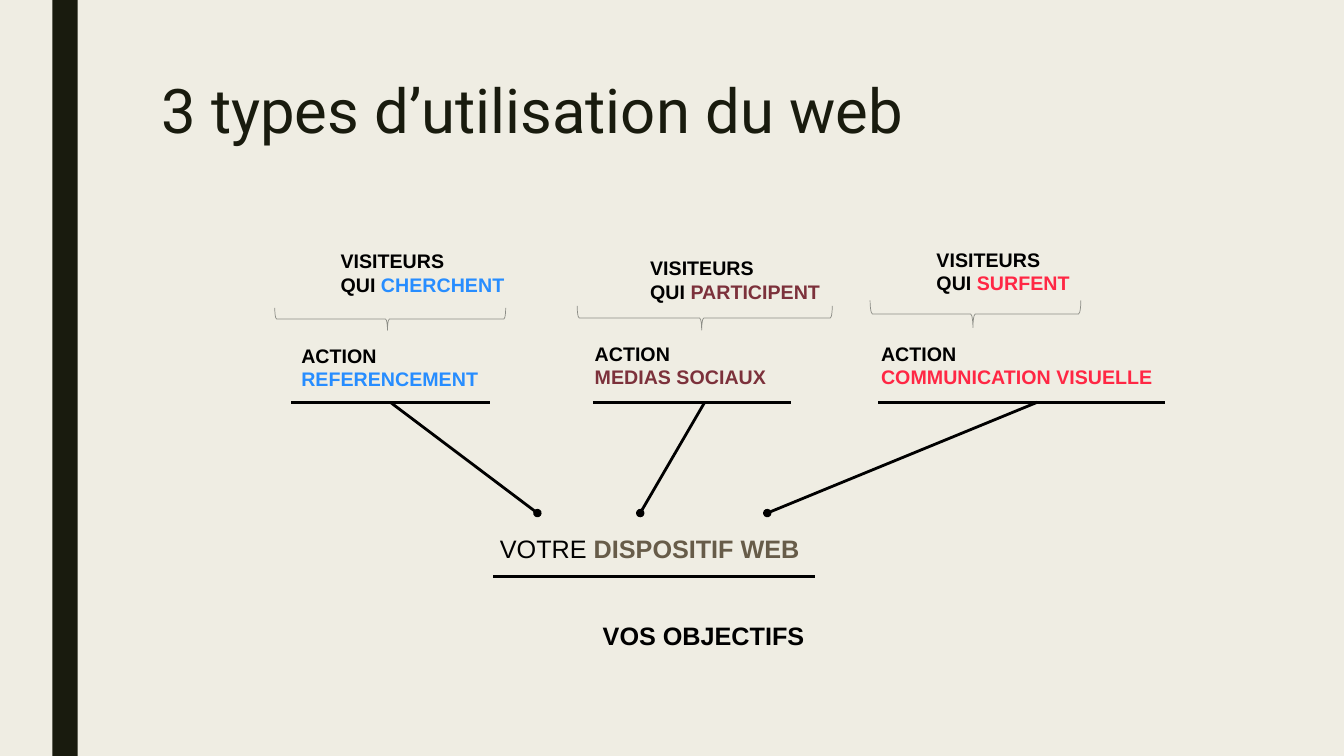
from dataclasses import dataclass

from lxml import etree
from pptx import Presentation
from pptx.dml.color import RGBColor
from pptx.enum.shapes import MSO_CONNECTOR, MSO_SHAPE
from pptx.enum.text import MSO_ANCHOR, MSO_AUTO_SIZE
from pptx.oxml.ns import qn
from pptx.util import Inches, Pt

RECT = MSO_SHAPE.RECTANGLE
BRACE = MSO_SHAPE.LEFT_BRACE
STRAIGHT = MSO_CONNECTOR.STRAIGHT
TOP = MSO_ANCHOR.TOP
FIT_SHAPE = MSO_AUTO_SIZE.SHAPE_TO_FIT_TEXT
NO_FIT = MSO_AUTO_SIZE.NONE


@dataclass(frozen=True)
class Theme:
    background: str = "EFEDE3"
    dark: str = "191B0E"
    black: str = "000000"
    brace: str = "8C8D86"
    device: str = "675C49"
    search: str = "278DFF"
    social: str = "7C313B"
    surf: str = "FF2744"
    title_font: str = "Roboto"
    body_font: str = "Arial"
    title_size: int = 44
    goal_size: int = 18
    label_size: int = 14
    line_width: float = 2
    brace_width: float = 0.5


THEME = Theme()
RULE_Y = 3.99    # rules under the three actions
TARGET_Y = 5.09  # dotted ends of the lines leading to the web device

# Verb, action, colour, visitor box, action box, brace (drawn upright, then
# turned), rule from/to, link start/end
USES = [
    ("CHERCHENT", "REFERENCEMENT", THEME.search,
     (3.28, 2.42, 1.84, 0.57), (2.89, 3.36, 1.97, 0.57),
     (3.76, 2.02, 0.22, 2.29), (2.89, 4.86), (5.33, 3.87)),
    ("PARTICIPENT", "MEDIAS SOCIAUX", THEME.social,
     (6.35, 2.49, 1.9, 0.57), (5.8, 3.34, 1.92, 0.57),
     (6.87, 1.89, 0.24, 2.53), (5.88, 7.85), (6.35, 6.99)),
    ("SURFENT", "COMMUNICATION VISUELLE", THEME.surf,
     (9.19, 2.41, 1.53, 0.57), (8.64, 3.34, 2.91, 0.57),
     (9.54, 2.07, 0.27, 2.09), (8.71, 11.55), (7.61, 10.29)),
]


def rgb(value):
    return RGBColor.from_string(value)


def add_text(s, box, paragraphs, size, font=THEME.body_font, wrap=True, fit=FIT_SHAPE):
    """Each paragraph is a list of (text, colour, bold) runs."""
    sp = s.shapes.add_textbox(*map(Inches, box))
    tf = sp.text_frame
    tf.word_wrap = wrap
    tf.auto_size = fit
    tf.vertical_anchor = TOP
    for i, runs in enumerate(paragraphs):
        p = tf.paragraphs[0] if i == 0 else tf.add_paragraph()
        for text, colour, bold in runs:
            r = p.add_run()
            r.text = text
            r.font.name = font
            r.font.size = Pt(size)
            r.font.bold = bold
            r.font.color.rgb = rgb(colour)
    return tf


def add_line(s, start, end, dotted=False):
    line = s.shapes.add_connector(STRAIGHT, *map(Inches, (*start, *end)))
    line.line.color.rgb = rgb(THEME.black)
    line.line.width = Pt(THEME.line_width)
    if dotted:
        etree.SubElement(line.line._get_or_add_ln(), qn("a:headEnd"), type="oval")
    etree.SubElement(line._element.spPr, qn("a:effectLst"))


def add_brace(s, box):
    sp = s.shapes.add_shape(BRACE, *map(Inches, box))
    sp.shadow.inherit = False
    sp.rotation = 270
    sp.adjustments[0] = 0.083
    sp.adjustments[1] = 0.488
    sp.fill.background()
    sp.line.color.rgb = rgb(THEME.brace)
    sp.line.width = Pt(THEME.brace_width)


def add_side_bar(s):
    sp = s.shapes.add_shape(RECT, Inches(0.52), 0, Inches(0.25), Inches(7.5))
    sp.shadow.inherit = False
    sp.fill.solid()
    sp.fill.fore_color.rgb = rgb(THEME.dark)
    sp.line.fill.background()


def add_use(s, verb, action, colour, visitor_box, action_box, brace, rule, link):
    visitors = [[("VISITEURS", THEME.black, True)],
                [("QUI ", THEME.black, True), (verb, colour, True)]]
    actions = [[("ACTION", THEME.black, True)], [(action, colour, True)]]
    add_text(s, visitor_box, visitors, THEME.label_size, wrap=False)
    add_brace(s, brace)
    add_text(s, action_box, actions, THEME.label_size, wrap=False)
    add_line(s, (rule[0], RULE_Y), (rule[1], RULE_Y))
    add_line(s, (link[0], TARGET_Y), (link[1], RULE_Y), dotted=True)


def main():
    prs = Presentation()
    prs.slide_width, prs.slide_height = Inches(13.33), Inches(7.5)
    s = prs.slides.add_slide(prs.slide_layouts[6])
    s.background.fill.solid()
    s.background.fill.fore_color.rgb = rgb(THEME.background)

    # Side bar and title
    add_side_bar(s)
    title = add_text(s, (1.5, 0.75, 10.5, 1.62),
                     [[("3 types d’utilisation du web", THEME.dark, False)]],
                     THEME.title_size, THEME.title_font, fit=NO_FIT)
    title.paragraphs[0].line_spacing = 0.89

    # Three kinds of use, each leading to the web device
    for use in USES:
        add_use(s, *use)

    # Web device and goals
    add_text(s, (4.86, 5.24, 3.46, 0.4),
             [[("VOTRE ", THEME.black, False), ("DISPOSITIF WEB", THEME.device, True)]],
             THEME.goal_size)
    add_line(s, (4.89, 5.72), (8.08, 5.72))
    add_text(s, (5.88, 6.1, 2.2, 0.4),
             [[("VOS OBJECTIFS", THEME.black, True)]], THEME.goal_size)

    prs.save("out.pptx")


if __name__ == "__main__":
    main()
